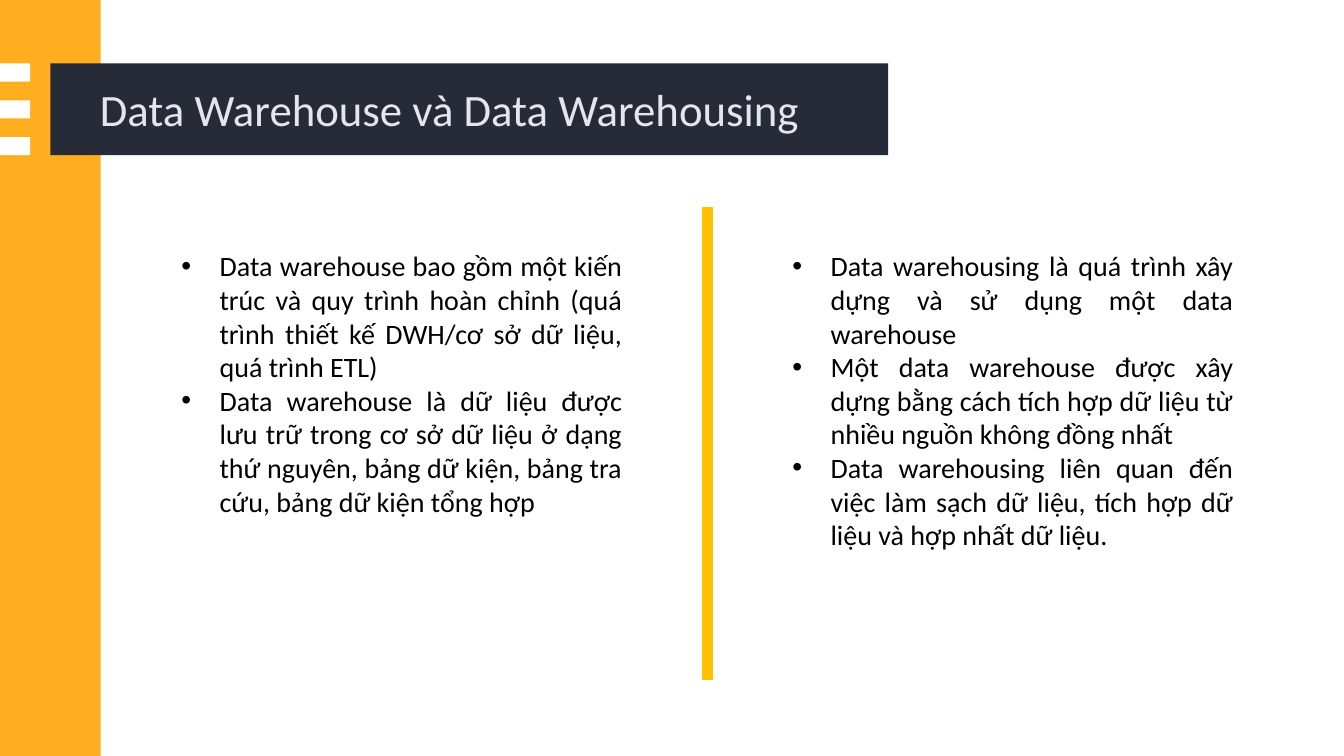
from dataclasses import dataclass

from lxml.etree import SubElement
from pptx import Presentation
from pptx.dml.color import RGBColor
from pptx.enum.shapes import MSO_SHAPE
from pptx.enum.text import MSO_ANCHOR, MSO_AUTO_SIZE, PP_ALIGN
from pptx.oxml.ns import qn
from pptx.slide import Slide
from pptx.text.text import _Paragraph as Paragraph
from pptx.util import Inches, Pt

SLIDE_WIDTH, SLIDE_HEIGHT = Inches(13.33), Inches(7.5)
FONT = "Calibri"
AMBER, NAVY, WHITE, GOLD = "FEAE1F", "262B37", "FFFFFF", "FFC000"
TITLE_COLOR, BODY_COLOR = "E4E6EB", "000000"
BULLET_INDENT = Inches(0.38)
STRIPE_TOP, STRIPE_STEP, STRIPE_COUNT = 8.4, 4.87, 3


@dataclass(frozen=True)
class Area:
    """Position and size in percent of the slide."""

    left: float
    top: float
    width: float
    height: float

    def lengths(self) -> tuple[int, int, int, int]:
        """Return left, top, width and height as slide lengths."""
        return (
            round(SLIDE_WIDTH * self.left / 100),
            round(SLIDE_HEIGHT * self.top / 100),
            round(SLIDE_WIDTH * self.width / 100),
            round(SLIDE_HEIGHT * self.height / 100),
        )


@dataclass(frozen=True)
class Block:
    """A filled rectangle with an optional outline."""

    area: Area
    fill: str
    outline: str | None = None


@dataclass(frozen=True)
class Column:
    """A column of bullet points."""

    left: float
    points: tuple[str, ...]


TITLE_AREA = Area(6.68, 6.4, 59.41, 16)
SIDEBAR = Block(Area(0, 0, 7.5, 100), AMBER)
TITLE_BAR = Block(Area(3.75, 8.4, 62.34, 12.13), NAVY)
STRIPES = [
    Block(Area(0, STRIPE_TOP + row * STRIPE_STEP, 2.25, 2.4), WHITE)
    for row in range(STRIPE_COUNT)
]
DIVIDER = Block(Area(52.29, 27.47, 0.68, 62.4), GOLD, GOLD)

COLUMNS = [
    Column(12.75, (
        "Data warehouse bao gồm một kiến trúc và quy trình hoàn chỉnh "
        "(quá trình thiết kế DWH/cơ sở dữ liệu, quá trình ETL)",
        "Data warehouse là dữ liệu được lưu trữ trong cơ sở dữ liệu ở dạng "
        "thứ nguyên, bảng dữ kiện, bảng tra cứu, bảng dữ kiện tổng hợp",
    )),
    Column(58.21, (
        "Data warehousing là quá trình xây dựng và sử dụng một data warehouse",
        "Một data warehouse được xây dựng bằng cách tích hợp dữ liệu từ "
        "nhiều nguồn không đồng nhất",
        "Data warehousing liên quan đến việc làm sạch dữ liệu, tích hợp "
        "dữ liệu và hợp nhất dữ liệu.",
    )),
]


def color(value: str) -> RGBColor:
    """Convert a hex string to a colour."""
    return RGBColor.from_string(value)


def add_run(paragraph: Paragraph, text: str, size: int, ink: str) -> None:
    """Add a formatted run to a paragraph."""
    run = paragraph.add_run()
    run.text = text
    run.font.name = FONT
    run.font.size = Pt(size)
    run.font.color.rgb = color(ink)


def add_block(slide: Slide, block: Block) -> None:
    """Draw a filled rectangle."""
    rectangle = slide.shapes.add_shape(MSO_SHAPE.RECTANGLE, *block.area.lengths())
    rectangle.shadow.inherit = False
    rectangle.fill.solid()
    rectangle.fill.fore_color.rgb = color(block.fill)
    if block.outline:
        rectangle.line.color.rgb = color(block.outline)
        rectangle.line.width = Pt(1)
    else:
        rectangle.line.fill.background()


def place_title(slide: Slide, text: str) -> None:
    """Format the title placeholder and bring it to the front."""
    title = slide.shapes.title
    title.left, title.top, title.width, title.height = TITLE_AREA.lengths()
    frame = title.text_frame
    frame.word_wrap = True
    frame.auto_size = MSO_AUTO_SIZE.NONE
    frame.vertical_anchor = MSO_ANCHOR.MIDDLE
    heading = frame.paragraphs[0]
    heading.alignment = PP_ALIGN.LEFT
    add_run(heading, text, 32, TITLE_COLOR)
    title.element.getparent().append(title.element)


def set_bullet(paragraph: Paragraph) -> None:
    """Give a paragraph a hanging round bullet."""
    properties = paragraph._p.get_or_add_pPr()
    properties.set("marL", str(BULLET_INDENT))
    properties.set("indent", str(-BULLET_INDENT))
    SubElement(properties, qn("a:buFont"), typeface="Arial")
    SubElement(properties, qn("a:buChar"), char="•")


def add_column(slide: Slide, column: Column) -> None:
    """Draw a justified bullet list."""
    area = Area(column.left, 32.27, 34.28, 46.27)
    frame = slide.shapes.add_textbox(*area.lengths()).text_frame
    frame.word_wrap = True
    frame.auto_size = MSO_AUTO_SIZE.SHAPE_TO_FIT_TEXT
    for index, point in enumerate(column.points):
        paragraph = frame.add_paragraph() if index else frame.paragraphs[0]
        paragraph.alignment = PP_ALIGN.JUSTIFY
        set_bullet(paragraph)
        add_run(paragraph, point, 20, BODY_COLOR)


def main() -> None:
    """Build and save the slide."""
    presentation = Presentation()
    presentation.slide_width = SLIDE_WIDTH
    presentation.slide_height = SLIDE_HEIGHT
    slide = presentation.slides.add_slide(presentation.slide_layouts[5])
    for block in (SIDEBAR, TITLE_BAR, *STRIPES):
        add_block(slide, block)
    place_title(slide, "Data Warehouse và Data Warehousing")
    add_block(slide, DIVIDER)
    for column in COLUMNS:
        add_column(slide, column)
    presentation.save("out.pptx")


if __name__ == "__main__":
    main()
